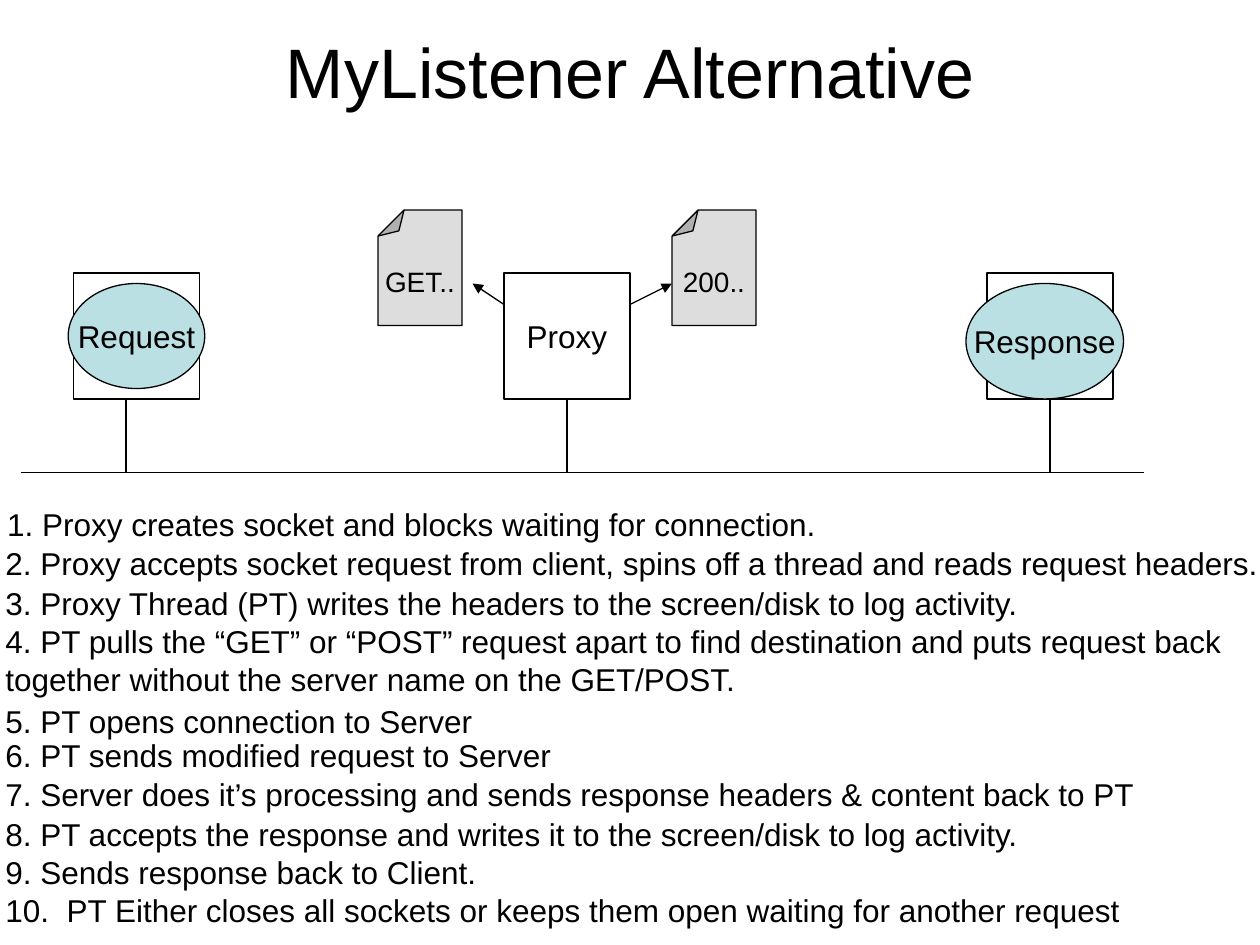
from pptx import Presentation
from pptx import util as u
from pptx.dml.color import RGBColor
from pptx.enum import shapes, text
from pptx.oxml.ns import qn
from lxml import etree

BLACK, TEAL, GREY = "000000", "BBE0E3", "DDDDDD"
BOX_TOP, BOX_SIZE, NETWORK_Y = 156, 72, 270

# left, top, width, height, lines of text
STEPS = [
    (-3, 285, 477, 29, ["1. Proxy creates socket and blocks waiting for connection."]),
    (-4, 307.5, 731, 29, ["2. Proxy accepts socket request from client, spins off a thread "
                          "and reads request headers."]),
    (-4, 330, 595, 29, ["3. Proxy Thread (PT) writes the headers to the screen/disk to log activity."]),
    (-4, 352, 710, 50.5, ["4. PT pulls the “GET” or “POST” request apart to find destination "
                          "and puts request back",
                          "together without the server name on the GET/POST."]),
    (-4, 397.5, 281.5, 29, ["5. PT opens connection to Server"]),
    (-4, 417, 326, 29, ["6. PT sends modified request to Server"]),
    (-4, 439.5, 659.5, 29, ["7. Server does it’s processing and sends response headers "
                            "& content back to PT"]),
    (-4, 462, 595, 29, ["8. PT accepts the response and writes it to the screen/disk to log activity."]),
]
CLOSING_STEPS = [
    "9. Sends response back to Client.",
    "10.  PT Either closes all sockets or keeps them open waiting for another request",
]


def color(value):
    return RGBColor.from_string(value)


def points(*lengths):
    return [u.Pt(length) for length in lengths]


def write(paragraph, words, size):
    run = paragraph.add_run()
    run.text = words
    run.font.size = u.Pt(size)
    run.font.name = "Arial"
    run.font.color.rgb = color(BLACK)


def add_node(parent, preset, bounds, label=None, fill=None, size=18):
    node = parent.add_shape(preset, *points(*bounds))
    node.shadow.inherit = False
    if fill:
        node.fill.solid()
        node.fill.fore_color.rgb = color(fill)
    else:
        node.fill.background()
    node.line.color.rgb = color(BLACK)
    node.line.width = u.Pt(0.75)
    if label:
        frame = node.text_frame
        frame.word_wrap = False
        frame.vertical_anchor = text.MSO_ANCHOR.MIDDLE
        frame.paragraphs[0].alignment = text.PP_ALIGN.CENTER
        write(frame.paragraphs[0], label, size)
    return node


def add_line(parent, start, end, arrow=False):
    line = parent.add_connector(shapes.MSO_CONNECTOR.STRAIGHT, *points(*start, *end))
    line.line.color.rgb = color(BLACK)
    line.line.width = u.Pt(0.75)
    if arrow:
        etree.SubElement(line.line._get_or_add_ln(), qn("a:tailEnd"), type="triangle")
    etree.SubElement(line._element.spPr, qn("a:effectLst"))
    return line


def add_message(slide, left, label, arrow_start, arrow_end):
    """Folded page, turned upside down with upright text, and its arrow."""
    group = slide.shapes.add_group_shape().shapes
    page = add_node(group, shapes.MSO_SHAPE.FOLDED_CORNER, (left, 120, 48, 66),
                    label, GREY, 16)
    # python-pptx lists no adjustment for this preset, so set the fold size in XML
    fold = page._element.spPr.find(qn("a:prstGeom")).get_or_add_avLst()
    etree.SubElement(fold, qn("a:gd"), name="adj", fmla="val 31000")
    page.rotation = 180
    page.text_frame._txBody.bodyPr.set("rot", "10800000")
    add_line(group, arrow_start, arrow_end, arrow=True)


def add_text(slide, bounds, paragraphs, size=18):
    """Text box; each paragraph is a list of lines."""
    frame = slide.shapes.add_textbox(*points(*bounds)).text_frame
    frame.word_wrap = False
    frame.auto_size = text.MSO_AUTO_SIZE.SHAPE_TO_FIT_TEXT
    for index, lines in enumerate(paragraphs):
        paragraph = frame.add_paragraph() if index else frame.paragraphs[0]
        for number, words in enumerate(lines):
            if number:
                paragraph.add_line_break()
            write(paragraph, words, size)
    return frame


def main():
    deck = Presentation()
    deck.slide_width, deck.slide_height = points(720, 540)
    slide = deck.slides.add_slide(deck.slide_layouts[6])

    # Title
    title = add_text(slide, (36, 18, 648, 45), [["MyListener Alternative"]], 40)
    title.word_wrap = True
    title.auto_size = text.MSO_AUTO_SIZE.NONE
    title.vertical_anchor = text.MSO_ANCHOR.MIDDLE
    title.paragraphs[0].alignment = text.PP_ALIGN.CENTER

    # Machines on the network line
    add_line(slide.shapes, (12, NETWORK_Y), (654, NETWORK_Y))
    for left, stem_x, label in [(42, 72, None), (288, 324, "Proxy"), (564, 600, None)]:
        machine = add_node(slide.shapes, shapes.MSO_SHAPE.RECTANGLE,
                           (left, BOX_TOP, BOX_SIZE, BOX_SIZE), label)
        stem = add_line(slide.shapes, (stem_x, BOX_TOP + BOX_SIZE), (stem_x, NETWORK_Y))
        if stem_x == left + BOX_SIZE / 2:
            stem.begin_connect(machine, 2)

    # Request and response
    for label, bounds in [("Request", (39, 162, 78, 60)), ("Response", (552, 162, 90, 66))]:
        add_node(slide.shapes, shapes.MSO_SHAPE.OVAL, bounds, label, TEAL)

    # Logged messages
    add_message(slide, 216, "GET..", (288, 174), (270, 162))
    add_message(slide, 384, "200..", (360, 174), (384, 162))

    # Steps
    for *bounds, lines in STEPS:
        add_text(slide, bounds, [lines])
    add_text(slide, (-4, 484, 651.5, 50.5), [[step] for step in CLOSING_STEPS])

    deck.save("out.pptx")


if __name__ == "__main__":
    main()
